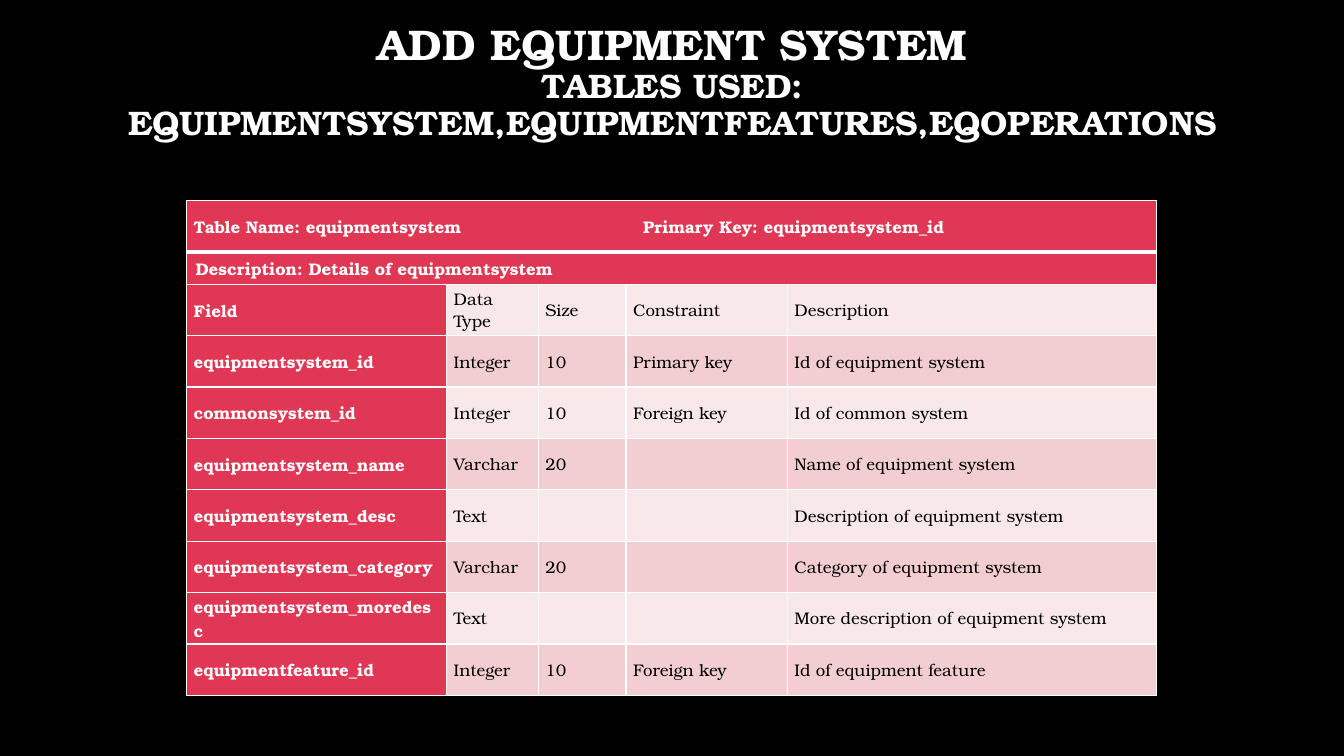
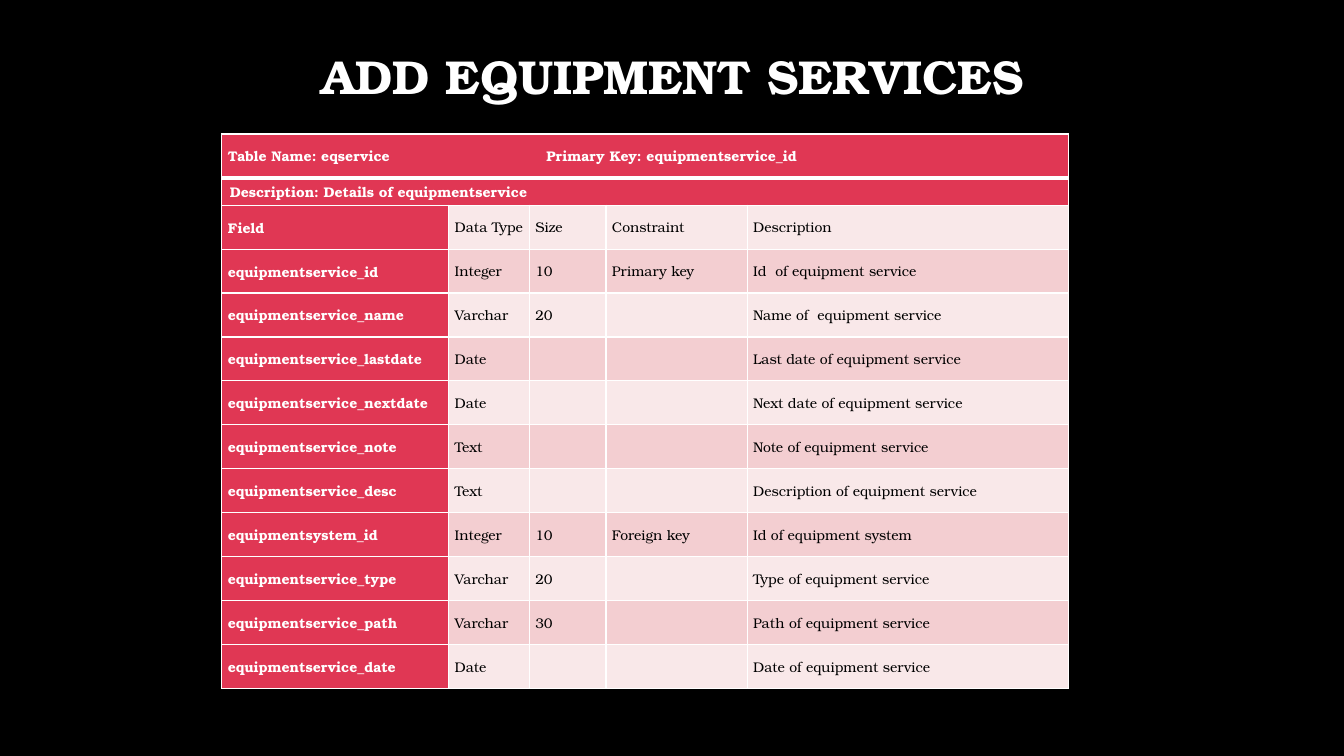
from dataclasses import dataclass

import lxml.etree
import pptx
import pptx.dml.color
import pptx.enum.text
import pptx.oxml.ns
import pptx.util

Inches = pptx.util.Inches

# Shared look
FONT = "TeX Gyre Bonum"
BLACK, WHITE = "000000", "FFFFFF"
RED, PALE_PINK, PINK = "E03754", "F9E8E9", "F3CED1"
TITLE_LEFT, TITLE_WIDTH, TITLE_HEIGHT = 1.01, 11.32, 1.45
COLUMN_NAMES = ("Field", "Data Type", "Size", "Constraint", "Description")


@dataclass(frozen=True)
class TitleLine:
    text: str
    size: float


@dataclass(frozen=True)
class TableSlide:
    title: tuple[TitleLine, ...]
    title_top: float
    table_name: str
    primary_key: str
    description: str
    fields: tuple[tuple[str, ...], ...]
    left: float
    top: float
    height: float
    column_widths: tuple[float, ...]
    description_height: float
    key_tab: float
    inset: float
    text_size: float


SLIDES = (
    TableSlide(
        title=(
            TitleLine("ADD EQUIPMENT SYSTEM", 30.6),
            TitleLine("TABLES USED: EQUIPMENTSYSTEM,EQUIPMENTFEATURES,EQOPERATIONS", 24.3),
        ),
        title_top=0.1,
        table_name="equipmentsystem",
        primary_key="equipmentsystem_id",
        description="Details of equipmentsystem",
        fields=(
            ("equipmentsystem_id", "Integer", "10", "Primary key", "Id of equipment system"),
            ("commonsystem_id", "Integer", "10", "Foreign key", "Id of common system"),
            ("equipmentsystem_name", "Varchar", "20", "", "Name of equipment system"),
            ("equipmentsystem_desc", "Text", "", "", "Description of equipment system"),
            ("equipmentsystem_category", "Varchar", "20", "", "Category of equipment system"),
            ("equipmentsystem_moredesc", "Text", "", "", "More description of equipment system"),
            ("equipmentfeature_id", "Integer", "10", "Foreign key", "Id of equipment feature"),
        ),
        left=1.85, top=1.99, height=4.91,
        column_widths=(2.58, 0.91, 0.87, 1.6, 3.66),
        description_height=0.32, key_tab=4.46, inset=0.07, text_size=12,
    ),
    TableSlide(
        title=(TitleLine("ADD EQUIPMENT SERVICES", 34),),
        title_top=0.06,
        table_name="eqservice",
        primary_key="equipmentservice_id",
        description="Details of equipmentservice",
        fields=(
            ("equipmentservice_id", "Integer", "10", "Primary key", "Id  of equipment service"),
            ("equipmentservice_name", "Varchar", "20", "", "Name of  equipment service"),
            ("equipmentservice_lastdate", "Date", "", "", "Last date of equipment service"),
            ("equipmentservice_nextdate", "Date", "", "", "Next date of equipment service"),
            ("equipmentservice_note", "Text", "", "", "Note of equipment service"),
            ("equipmentservice_desc", "Text", "", "", "Description of equipment service"),
            ("equipmentsystem_id", "Integer", "10", "Foreign key", "Id of equipment system"),
            ("equipmentservice_type", "Varchar", "20", "", "Type of equipment service"),
            ("equipmentservice_path", "Varchar", "30", "", "Path of equipment service"),
            ("equipmentservice_date", "Date", "", "", "Date of equipment service"),
        ),
        left=2.2, top=1.33, height=5.5,
        column_widths=(2.25, 0.8, 0.76, 1.4, 3.19),
        description_height=0.27, key_tab=3.16, inset=0.06, text_size=10,
    ),
)


def rgb(colour: str) -> pptx.dml.color.RGBColor:
    return pptx.dml.color.RGBColor.from_string(colour)


def set_font(font, size: float, colour: str, bold: bool) -> None:
    font.name = FONT
    font.size = pptx.util.Pt(size)
    font.bold = bold
    font.color.rgb = rgb(colour)


# Title
def add_title(page, content: TableSlide) -> None:
    box = page.shapes.add_textbox(
        Inches(TITLE_LEFT), Inches(content.title_top), Inches(TITLE_WIDTH), Inches(TITLE_HEIGHT)
    )
    frame = box.text_frame
    frame.word_wrap = True
    frame.vertical_anchor = pptx.enum.text.MSO_ANCHOR.MIDDLE
    for index, line in enumerate(content.title):
        para = frame.add_paragraph() if index else frame.paragraphs[0]
        para.text = line.text
        para.alignment = pptx.enum.text.PP_ALIGN.CENTER
        para.line_spacing = 0.9
        set_font(para.font, line.size, WHITE, True)


# Table cells
def set_borders(cell, top: float = 1, bottom: float = 1) -> None:
    properties = cell._tc.get_or_add_tcPr()
    qn = pptx.oxml.ns.qn
    widths = {"a:lnL": 1, "a:lnR": 1, "a:lnT": top, "a:lnB": bottom}
    for index, (side, width) in enumerate(widths.items()):
        line = lxml.etree.Element(qn(side), w=str(int(pptx.util.Pt(width))))
        fill = lxml.etree.SubElement(line, qn("a:solidFill"))
        lxml.etree.SubElement(fill, qn("a:srgbClr"), val=WHITE)
        properties.insert(index, line)


def add_tab_stop(para, position: float) -> None:
    qn = pptx.oxml.ns.qn
    tabs = lxml.etree.Element(qn("a:tabLst"))
    lxml.etree.SubElement(tabs, qn("a:tab"), pos=str(int(Inches(position))), algn="l")
    para._p.get_or_add_pPr().insert(0, tabs)


def fill_cell(cell, text: str, content: TableSlide, fill: str) -> None:
    heading = fill == RED
    cell.fill.solid()
    cell.fill.fore_color.rgb = rgb(fill)
    cell.vertical_anchor = pptx.enum.text.MSO_ANCHOR.MIDDLE
    cell.margin_left = cell.margin_right = Inches(content.inset)
    cell.margin_top = cell.margin_bottom = 0
    para = cell.text_frame.paragraphs[0]
    para.text = text
    set_font(para.font, content.text_size, WHITE if heading else BLACK, heading)


# Table
def add_field_table(page, content: TableSlide) -> None:
    banners = (
        f"Table Name: {content.table_name}\tPrimary Key: {content.primary_key}",
        f"Description: {content.description}",
    )
    body = (COLUMN_NAMES, *content.fields)
    row_count = len(banners) + len(body)
    table = page.shapes.add_table(
        row_count, len(COLUMN_NAMES), Inches(content.left), Inches(content.top),
        Inches(sum(content.column_widths)), Inches(content.height),
    ).table
    table.first_row = table.horz_banding = False

    for column, width in zip(table.columns, content.column_widths):
        column.width = Inches(width)
    row_height = (content.height - content.description_height) / (row_count - 1)
    for row in table.rows:
        row.height = Inches(row_height)
    table.rows[1].height = Inches(content.description_height)

    # Two banner rows, parted by a thick line
    for row_index, text in enumerate(banners):
        first = table.cell(row_index, 0)
        first.merge(table.cell(row_index, len(COLUMN_NAMES) - 1))
        fill_cell(first, text, content, RED)
        for cell in table.rows[row_index].cells:
            set_borders(cell, top=3 if row_index else 1, bottom=1 if row_index else 3)
    add_tab_stop(table.cell(0, 0).text_frame.paragraphs[0], content.key_tab)
    table.cell(1, 0).margin_left = Inches(content.inset + 0.02)

    # Column names and fields in alternating bands
    for body_index, values in enumerate(body):
        band = PINK if body_index % 2 else PALE_PINK
        for column_index, value in enumerate(values):
            cell = table.cell(body_index + len(banners), column_index)
            fill_cell(cell, value, content, band if column_index else RED)
            set_borders(cell)


def main() -> None:
    deck = pptx.Presentation()
    deck.slide_width, deck.slide_height = Inches(13.33), Inches(7.5)
    for content in SLIDES:
        page = deck.slides.add_slide(deck.slide_layouts[6])
        page.background.fill.solid()
        page.background.fill.fore_color.rgb = rgb(BLACK)
        add_title(page, content)
        add_field_table(page, content)
    deck.save("out.pptx")


if __name__ == "__main__":
    main()
